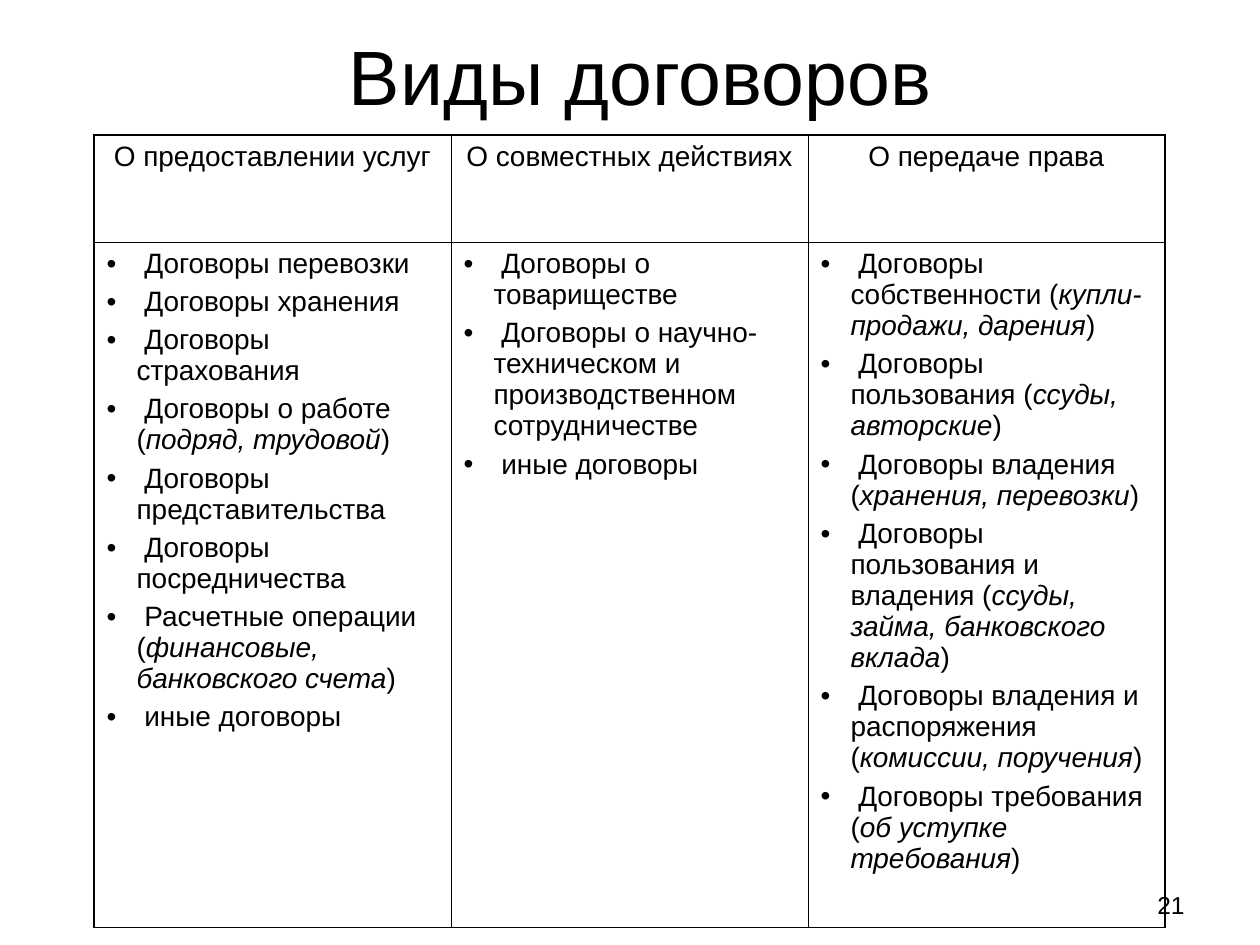
import pptx
import pptx.dml.color
import pptx.enum.text
import pptx.oxml
import pptx.oxml.ns
import pptx.util

PX = 914400 / 126
BLACK = "000000"
COLUMN_WIDTH = 357
ROW_HEIGHTS = (107, 639)
BULLET_INDENT = 30
OUTER_BORDER, INNER_BORDER = 1.08, 0.45
ALIGN = pptx.enum.text.PP_ALIGN
ANCHOR = pptx.enum.text.MSO_ANCHOR

CONTRACTS = [
    ("О предоставлении услуг", [
        ("Договоры перевозки", ""),
        ("Договоры хранения", ""),
        ("Договоры страхования", ""),
        ("Договоры о работе", "подряд, трудовой"),
        ("Договоры представительства", ""),
        ("Договоры посредничества", ""),
        ("Расчетные операции", "финансовые, банковского счета"),
        ("иные договоры", ""),
    ]),
    ("О совместных действиях", [
        ("Договоры о товариществе", ""),
        ("Договоры о научно-техническом и производственном сотрудничестве", ""),
        ("иные договоры", ""),
    ]),
    ("О передаче права", [
        ("Договоры собственности", "купли-продажи, дарения"),
        ("Договоры пользования", "ссуды, авторские"),
        ("Договоры владения", "хранения, перевозки"),
        ("Договоры пользования и владения", "ссуды, займа, банковского вклада"),
        ("Договоры владения и распоряжения", "комиссии, поручения"),
        ("Договоры требования", "об уступке требования"),
    ]),
]


def px(length):
    return pptx.util.Emu(round(length * PX))


def color(value):
    return pptx.dml.color.RGBColor.from_string(value)


def xml(tag, attributes, children=""):
    namespace = pptx.oxml.ns.nsdecls("a")
    return pptx.oxml.parse_xml(f"<a:{tag} {namespace} {attributes}>{children}</a:{tag}>")


class Deck:
    font_name = "Arial"
    table_size = 16

    def __init__(self, width, height):
        self.presentation = pptx.Presentation()
        self.presentation.slide_width = px(width)
        self.presentation.slide_height = px(height)
        self.slide = self.presentation.slides.add_slide(self.presentation.slide_layouts[6])

    def style(self, font, size):
        font.name = self.font_name
        font.size = pptx.util.Pt(size)
        font.color.rgb = color(BLACK)

    def line(self, frame, wording, size, align):
        frame.text = wording
        paragraph = frame.paragraphs[0]
        paragraph.alignment = align
        self.style(paragraph.font, size)

    def text(self, wording, left, top, width, height, size, align, anchor=ANCHOR.TOP):
        frame = self.slide.shapes.add_textbox(px(left), px(top), px(width), px(height)).text_frame
        frame.word_wrap = True
        frame.vertical_anchor = anchor
        self.line(frame, wording, size, align)

    def run(self, paragraph, wording, italic=False):
        part = paragraph.add_run()
        part.text = wording
        self.style(part.font, self.table_size)
        part.font.italic = italic

    def bullets(self, cell, items):
        frame = cell.text_frame
        for index, (contract, examples) in enumerate(items):
            paragraph = frame.add_paragraph() if index else frame.paragraphs[0]
            properties = paragraph._p.get_or_add_pPr()
            properties.set("marL", str(px(BULLET_INDENT)))
            properties.set("indent", str(-px(BULLET_INDENT)))
            properties.append(xml("buFont", f'typeface="{self.font_name}"'))
            properties.append(xml("buChar", 'char="•"'))
            if index:
                paragraph.space_before = pptx.util.Pt(4)
            self.run(paragraph, f" {contract}" + (" (" if examples else ""))
            if examples:
                self.run(paragraph, examples, italic=True)
                self.run(paragraph, ")")

    def borders(self, cell, outer_sides):
        properties = cell._tc.get_or_add_tcPr()
        for side in "LRTB":
            weight = OUTER_BORDER if side in outer_sides else INNER_BORDER
            properties.append(xml(
                f"ln{side}", f'w="{pptx.util.Pt(weight)}"',
                f'<a:solidFill><a:srgbClr val="{BLACK}"/></a:solidFill>'))
        cell.fill.background()

    def table(self, columns, left, top):
        count = len(columns)
        grid = self.slide.shapes.add_table(
            len(ROW_HEIGHTS), count, px(left), px(top),
            px(COLUMN_WIDTH * count), px(sum(ROW_HEIGHTS))).table
        grid.first_row = grid.horz_banding = False
        for row, height in zip(grid.rows, ROW_HEIGHTS):
            row.height = px(height)
        for index, (heading, items) in enumerate(columns):
            grid.columns[index].width = px(COLUMN_WIDTH)
            header, body = grid.cell(0, index), grid.cell(1, index)
            self.line(header.text_frame, heading, self.table_size, ALIGN.CENTER)
            self.bullets(body, items)
            sides = ("L" if index == 0 else "") + ("R" if index == count - 1 else "")
            self.borders(header, sides + "T")
            self.borders(body, sides + "B")


def main():
    deck = Deck(1260, 945)
    deck.text("21", 903, 884, 294, 50, 14, ALIGN.RIGHT)
    deck.text("Виды договоров", 105, 14, 1071, 121, 44, ALIGN.CENTER, ANCHOR.MIDDLE)
    deck.table(CONTRACTS, 94, 135)
    deck.presentation.save("out.pptx")


if __name__ == "__main__":
    main()
